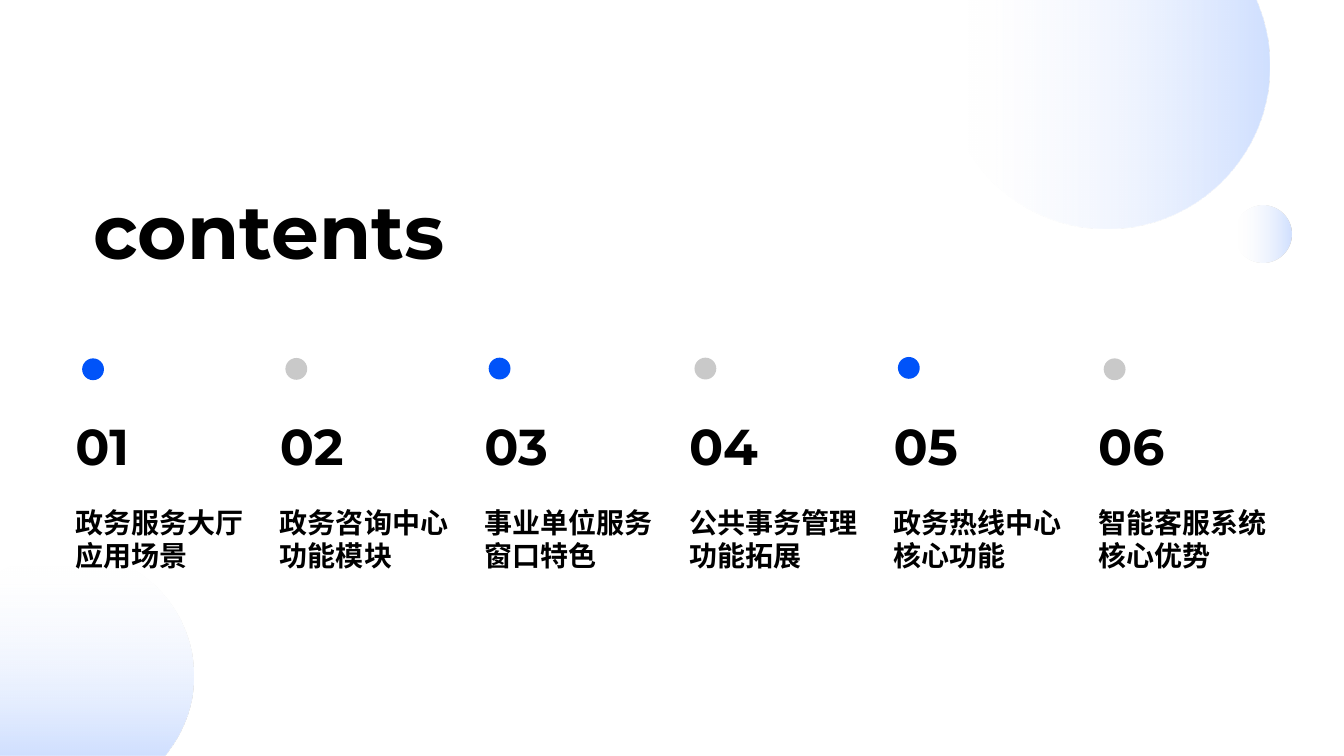
from dataclasses import dataclass

from lxml import etree
from pptx import Presentation
from pptx.dml.color import RGBColor
from pptx.enum import shapes, text
from pptx.oxml import ns
from pptx.util import Pt

BLUE, GREY, BLACK = "0053F9", "C9C9C9", "000000"
COLUMN_LEFT, COLUMN_PITCH = 46.8, 146.1
DOT_SIZE = 15.6


@dataclass
class Chapter:
    number: str
    label: str
    dot_color: str
    dot_left: float
    dot_top: float


@dataclass
class CutCircle:
    """Circle cut by the slide edge.

    A segment is a line end (x, y) or two control points and a curve end.
    """
    start: tuple[float, float]
    segments: list[tuple[float, ...]]
    gradient_angle: int


CHAPTERS = [
    Chapter("01", "政务服务大厅应用场景", BLUE, 58.7, 256),
    Chapter("02", "政务咨询中心功能模块", GREY, 203.9, 255.7),
    Chapter("03", "事业单位服务窗口特色", BLUE, 349.1, 255.5),
    Chapter("04", "公共事务管理功能拓展", GREY, 496.1, 255.5),
    Chapter("05", "政务热线中心核心功能", BLUE, 641.4, 255),
    Chapter("06", "智能客服系统核心优势", GREY, 788.4, 256),
]
CORNER_CIRCLE = CutCircle((49, 393.8), [
    (97.9, 393.8, 138.2, 433.4, 138.2, 483.1),
    (138.2, 504.7, 130.3, 524.2, 117.4, 540),
    (0, 540),
    (0, 408.2),
    (6.5, 404.6),
    (18.7, 397.4, 33.1, 393.8, 49, 393.8),
], 90)
TOP_CIRCLE = CutCircle((684.7, 0), [
    (897.1, 0),
    (897.8, 2.2),
    (903.6, 15.8, 906.9, 31, 906.9, 47.5),
    (906.9, 111.6, 854.6, 163.4, 790.6, 163.4),
    (726.5, 163.4, 674.6, 111.6, 674.6, 47.5),
    (674.6, 31, 677.5, 15.8, 683.3, 2.2),
], 0)


def color(value: str) -> RGBColor:
    return RGBColor.from_string(value)


def fade(shape, angle: int) -> None:
    """Fill with a gradient from clear to pale blue, without outline."""
    shape.shadow.inherit = False
    shape.line.fill.background()
    shape.fill.gradient()
    gradient = shape._element.spPr.find(ns.qn("a:gradFill"))
    for child in list(gradient):
        gradient.remove(child)
    stops = etree.SubElement(gradient, ns.qn("a:gsLst"))
    for position, value, alpha in ((7, "F2F6FF", 0), (100, "B1CBFF", 60)):
        stop = etree.SubElement(stops, ns.qn("a:gs"), pos=str(position * 1000))
        stop_color = etree.SubElement(stop, ns.qn("a:srgbClr"), val=value)
        etree.SubElement(stop_color, ns.qn("a:alpha"), val=str(alpha * 1000))
    etree.SubElement(gradient, ns.qn("a:lin"), ang=str(angle * 60000), scaled="0")


def add_cut_circle(slide, circle: CutCircle) -> None:
    builder = slide.shapes.build_freeform(Pt(circle.start[0]), Pt(circle.start[1]))
    builder.add_line_segments([(Pt(x), Pt(y)) for *_, x, y in circle.segments], close=True)
    shape = builder.convert_to_shape()

    # Bend the lines that have control points
    lines = list(shape._element.iter(ns.qn("a:lnTo")))
    for line, segment in zip(lines, circle.segments):
        if len(segment) == 2:
            continue
        curve = etree.Element(ns.qn("a:cubicBezTo"))
        for x, y in zip(segment[::2], segment[1::2]):
            etree.SubElement(curve, ns.qn("a:pt"),
                             x=str(Pt(x) - shape.left), y=str(Pt(y) - shape.top))
        line.getparent().replace(line, curve)
    fade(shape, circle.gradient_angle)


def add_ellipse(slide, left: float, top: float, size: float):
    return slide.shapes.add_shape(shapes.MSO_SHAPE.OVAL, Pt(left), Pt(top), Pt(size), Pt(size))


def write(shape, content: str, font_name: str, size: float, anchor, auto_size) -> None:
    frame = shape.text_frame
    frame.word_wrap = True
    frame.auto_size = auto_size
    frame.vertical_anchor = anchor
    frame.text = content
    paragraph = frame.paragraphs[0]
    paragraph.alignment = text.PP_ALIGN.LEFT
    font = paragraph.runs[0].font
    font.name, font.size, font.bold = font_name, Pt(size), True
    font.color.rgb = color(BLACK)


def write_heading(shape, content: str, size: float) -> None:
    write(shape, content, "Montserrat", size, text.MSO_ANCHOR.BOTTOM,
          text.MSO_AUTO_SIZE.SHAPE_TO_FIT_TEXT)


def add_chapter(slide, index: int, chapter: Chapter) -> None:
    dot = add_ellipse(slide, chapter.dot_left, chapter.dot_top, DOT_SIZE)
    dot.shadow.inherit = False
    dot.fill.solid()
    dot.fill.fore_color.rgb = color(chapter.dot_color)
    dot.line.fill.background()

    left = Pt(COLUMN_LEFT + index * COLUMN_PITCH)
    label = slide.shapes.add_textbox(left, Pt(357.3), Pt(146.2), Pt(83.5))
    write(label, chapter.label, "Arial", 20, text.MSO_ANCHOR.TOP, text.MSO_AUTO_SIZE.NONE)
    number = slide.shapes.add_textbox(left, Pt(292.3), Pt(167.8), Pt(51.1))
    write_heading(number, chapter.number, 36)


def main() -> None:
    presentation = Presentation()
    presentation.slide_width, presentation.slide_height = Pt(960), Pt(540)
    slide = presentation.slides.add_slide(presentation.slide_layouts[5])

    # Background circles
    add_cut_circle(slide, CORNER_CIRCLE)
    add_cut_circle(slide, TOP_CIRCLE)
    fade(add_ellipse(slide, 882, 146.9, 40.3), 0)

    # Title
    title = slide.shapes.title
    title.left, title.top, title.width, title.height = Pt(59.8), Pt(127), Pt(477.4), Pt(72.7)
    write_heading(title, "contents", 54)

    # Chapters
    for index, chapter in enumerate(CHAPTERS):
        add_chapter(slide, index, chapter)

    presentation.save("out.pptx")


if __name__ == "__main__":
    main()
